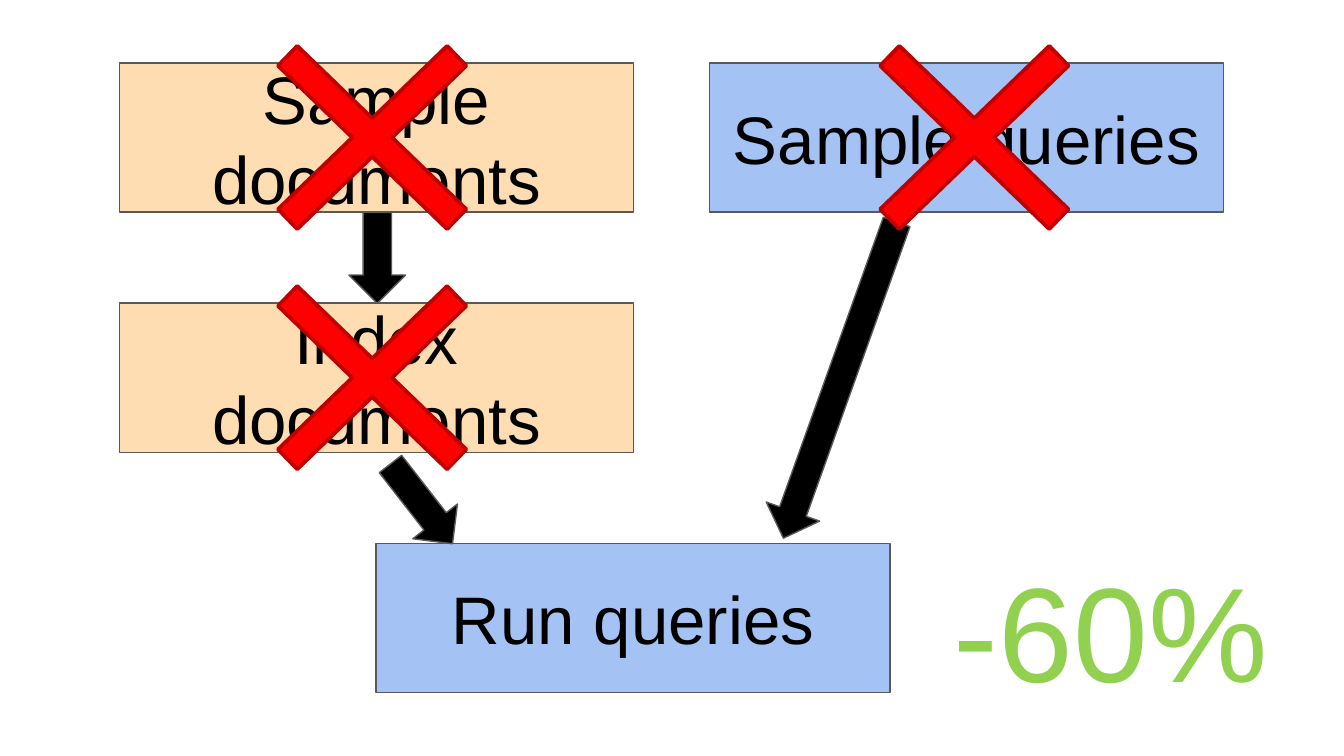
from dataclasses import dataclass

import pptx
import pptx.dml.color
import pptx.enum.shapes
import pptx.enum.text
import pptx.util
from pptx.util import Cm

SHAPE = pptx.enum.shapes.MSO_SHAPE
ALIGN = pptx.enum.text.PP_ALIGN
ANCHOR = pptx.enum.text.MSO_ANCHOR


@dataclass(frozen=True)
class Theme:
    font: str = "Arial"
    step_size: int = 36
    saving_size: int = 72
    text: str = "000000"
    documents: str = "FFDDB3"
    queries: str = "A4C2F4"
    outline: str = "595959"
    arrow: str = "000000"
    cross: str = "FF0000"
    cross_outline: str = "C00000"
    saving: str = "92D050"
    outline_width: float = 0.75
    cross_width: float = 2


@dataclass(frozen=True)
class Area:
    """Position and size in centimetres."""
    left: float
    top: float
    width: float
    height: float

    def lengths(self) -> tuple:
        return Cm(self.left), Cm(self.top), Cm(self.width), Cm(self.height)


@dataclass(frozen=True)
class Step:
    lines: tuple[str, ...]
    left: float
    top: float
    fill: str
    crossed_at: float | None = None  # left edge of the cross


@dataclass(frozen=True)
class Arrow:
    area: Area
    rotation: float


THEME = Theme()
STEP_WIDTH, STEP_HEIGHT = 9.71, 2.82
CROSS_WIDTH, CROSS_HEIGHT = 6.15, 5.94
LEFT_COLUMN, RIGHT_COLUMN, MIDDLE_COLUMN = 2.26, 13.41, 7.11
FIRST_ROW, ROW_PITCH = 1.19, 4.54

STEPS = [
    Step(("Sample documents",), LEFT_COLUMN, FIRST_ROW, THEME.documents, 3.96),
    Step(("Sample queries",), RIGHT_COLUMN, FIRST_ROW, THEME.queries, 15.34),
    Step(("Index", "documents"), LEFT_COLUMN, FIRST_ROW + ROW_PITCH, THEME.documents, 3.96),
    Step(("Run queries",), MIDDLE_COLUMN, FIRST_ROW + 2 * ROW_PITCH, THEME.queries),
]
ARROWS = [
    Arrow(Area(6.27, 4.34, 1.72, 1.07), 90),
    Arrow(Area(7.01, 8.99, 1.91, 1.07), 52.1),
    Arrow(Area(12.7, 6.65, 6.35, 1.07), 109.7),
]


def rgb(color: str) -> pptx.dml.color.RGBColor:
    return pptx.dml.color.RGBColor.from_string(color)


def add_figure(slide, preset, area: Area, *, fill: str, line: str, width: float):
    figure = slide.shapes.add_shape(preset, *area.lengths())
    figure.shadow.inherit = False
    figure.fill.solid()
    figure.fill.fore_color.rgb = rgb(fill)
    figure.line.color.rgb = rgb(line)
    figure.line.width = pptx.util.Pt(width)
    return figure


def write_text(frame, lines: tuple[str, ...], *, size: int, color: str,
               align=ALIGN.LEFT, anchor=ANCHOR.TOP) -> None:
    frame.word_wrap = True
    frame.vertical_anchor = anchor
    frame.margin_left = frame.margin_right = Cm(0.25)
    frame.margin_top = frame.margin_bottom = Cm(0.25)
    for index, line in enumerate(lines):
        paragraph = frame.add_paragraph() if index else frame.paragraphs[0]
        paragraph.alignment = align
        run = paragraph.add_run()
        run.text = line
        run.font.name = THEME.font
        run.font.size = pptx.util.Pt(size)
        run.font.color.rgb = rgb(color)


def add_step(slide, step: Step) -> None:
    area = Area(step.left, step.top, STEP_WIDTH, STEP_HEIGHT)
    box = add_figure(slide, SHAPE.RECTANGLE, area, fill=step.fill,
                     line=THEME.outline, width=THEME.outline_width)
    write_text(box.text_frame, step.lines, size=THEME.step_size, color=THEME.text,
               align=ALIGN.CENTER, anchor=ANCHOR.MIDDLE)


def add_arrow(slide, arrow: Arrow) -> None:
    figure = add_figure(slide, SHAPE.RIGHT_ARROW, arrow.area, fill=THEME.arrow,
                        line=THEME.outline, width=THEME.outline_width)
    figure.rotation = arrow.rotation


def add_cross(slide, step: Step) -> None:
    """Strike out a step with a cross centred on its height."""
    top = step.top + (STEP_HEIGHT - CROSS_HEIGHT) / 2
    area = Area(step.crossed_at, top, CROSS_WIDTH, CROSS_HEIGHT)
    cross = add_figure(slide, SHAPE.MATH_MULTIPLY, area, fill=THEME.cross,
                       line=THEME.cross_outline, width=THEME.cross_width)
    cross.adjustments[0] = 0.088


def main() -> None:
    presentation = pptx.Presentation()
    presentation.slide_width, presentation.slide_height = Cm(25.4), Cm(14.29)
    slide = presentation.slides.add_slide(presentation.slide_layouts[6])

    for step in STEPS:
        add_step(slide, step)
    for arrow in ARROWS:
        add_arrow(slide, arrow)
    for step in STEPS:
        if step.crossed_at is not None:
            add_cross(slide, step)

    saving = slide.shapes.add_textbox(*Area(17.78, 10.11, 6.68, 3.56).lengths())
    write_text(saving.text_frame, ("-60%",), size=THEME.saving_size, color=THEME.saving)
    presentation.save("out.pptx")


if __name__ == "__main__":
    main()
